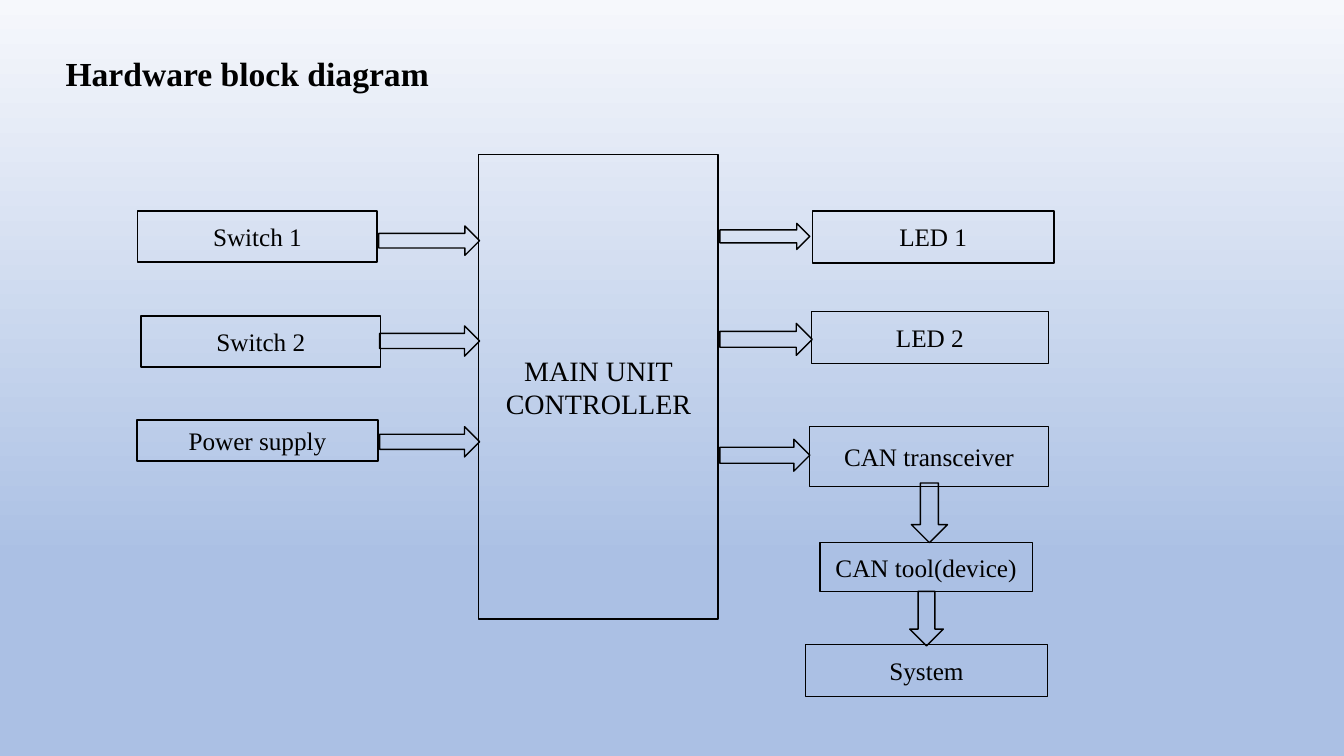
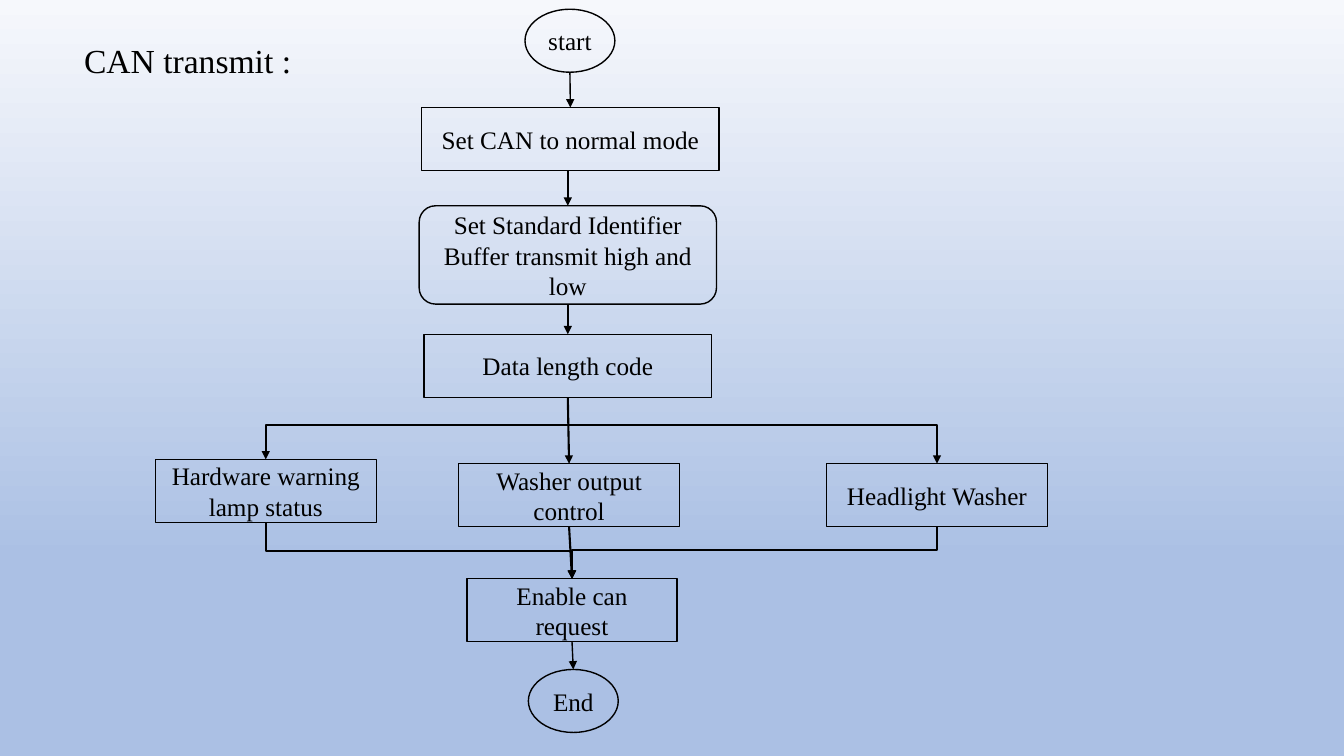
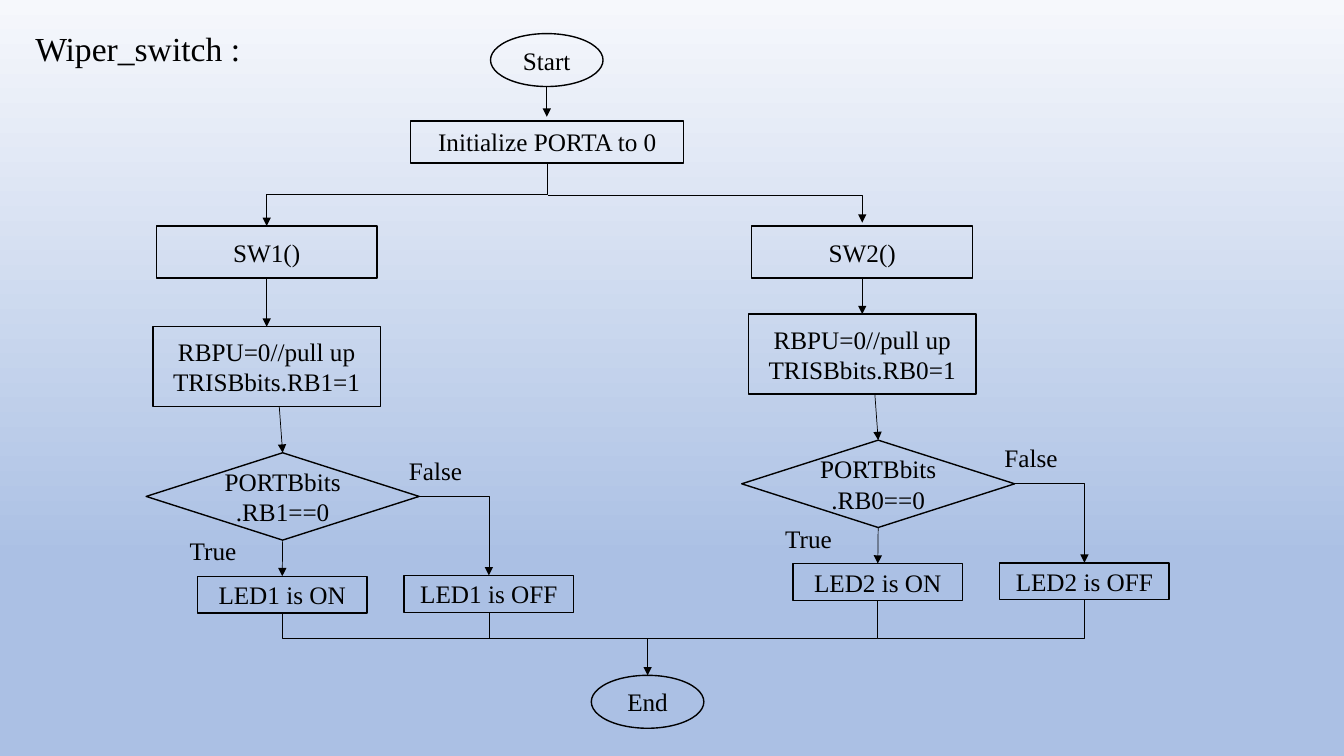
from lxml import etree
from pptx import Presentation
from pptx import util as u
from pptx.dml.color import RGBColor
from pptx.enum import shapes, text
from pptx.oxml.ns import qn

# Shared look; the slide is a grid of square cells
COLS, ROWS = 160, 90
CELL = u.Inches(1) / 12
FONT = "Times New Roman"
COLORS = {"ink": "000000", "sky": "F6F8FC", "blue": "ABC0E4"}
KIND = shapes.MSO_SHAPE
THIN, MEDIUM, THICK = 0.5, 1, 1.5


def color(name):
    return RGBColor.from_string(COLORS[name])


def cells(count):
    return u.Emu(round(count * CELL))


def point(col, row):
    return cells(col), cells(row)


# Anchor points on a shape
def top(shape, shift=0):
    return shape.left + shape.width // 2 + cells(shift), shape.top


def bottom(shape, shift=0):
    return shape.left + shape.width // 2 + cells(shift), shape.top + shape.height


def right(shape):
    return shape.left + shape.width, shape.top + shape.height // 2


# Text
def write(frame, words, size, bold=False, align=text.PP_ALIGN.CENTER):
    frame.word_wrap = True
    for index, line in enumerate(words.split("\n")):
        paragraph = frame.add_paragraph() if index else frame.paragraphs[0]
        paragraph.alignment = align
        run = paragraph.add_run()
        run.text = line
        run.font.name = FONT
        run.font.size = u.Pt(size)
        run.font.bold = bold
        run.font.color.rgb = color("ink")


def add_label(slide, words, *place):
    label = slide.shapes.add_textbox(*map(cells, place))
    write(label.text_frame, words, 18, align=text.PP_ALIGN.LEFT)


def add_titled_slide(deck, words, place, bold=False):
    slide = deck.slides.add_slide(deck.slide_layouts.get_by_name("Title Only"))
    title = slide.shapes.title
    title.left, title.top, title.width, title.height = map(cells, place)
    frame = title.text_frame
    frame.vertical_anchor = text.MSO_ANCHOR.MIDDLE
    frame.auto_size = text.MSO_AUTO_SIZE.NONE
    write(frame, words, 24, bold, text.PP_ALIGN.LEFT)
    frame.paragraphs[0].line_spacing = 0.9
    return slide


# Outlined blocks
def add_block(slide, words, *place, kind=KIND.RECTANGLE, size=18):
    block = slide.shapes.add_shape(kind, *map(cells, place))
    block.shadow.inherit = False
    block.fill.background()
    block.line.color.rgb = color("ink")
    block.line.width = u.Pt(MEDIUM)
    if words:
        block.text_frame.vertical_anchor = text.MSO_ANCHOR.MIDDLE
        write(block.text_frame, words, size)
    return block


# Connectors
def add_line(slide, start, end, width=MEDIUM, arrow=True,
             kind=shapes.MSO_CONNECTOR.STRAIGHT):
    line = slide.shapes.add_connector(kind, *start, *end)
    line.line.color.rgb = color("ink")
    line.line.width = u.Pt(width)
    properties = line.element.spPr
    if arrow:
        etree.SubElement(properties.find(qn("a:ln")), qn("a:tailEnd"), type="triangle")
    etree.SubElement(properties, qn("a:effectLst"))
    return line


def add_corner(slide, start, end, width, arrow=True):
    """One bend: across, then up or down."""
    corner = add_line(slide, start, end, width, arrow, shapes.MSO_CONNECTOR.ELBOW)
    corner.element.spPr.find(qn("a:prstGeom")).set("prst", "bentConnector2")


def add_step(slide, start, end, width, turn=0.5):
    """Two bends: down, across and down; a quarter turn of the usual elbow."""
    (x1, y1), (x2, y2) = start, end
    mid_x, mid_y = (x1 + x2) // 2, (y1 + y2) // 2
    half_x, half_y = (x2 - x1) // 2, (y2 - y1) // 2
    step = add_line(slide, (mid_x - half_y, mid_y + half_x),
                    (mid_x + half_y, mid_y - half_x), width,
                    kind=shapes.MSO_CONNECTOR.ELBOW)
    properties = step.element.spPr
    properties.find(qn("a:xfrm")).set("rot", str(90 * 60000))
    geometry = properties.find(qn("a:prstGeom"))
    guides = geometry.find(qn("a:avLst"))
    if guides is None:
        guides = etree.SubElement(geometry, qn("a:avLst"))
    etree.SubElement(guides, qn("a:gd"), name="adj1",
                     fmla=f"val {round(turn * 100000)}")


def add_hardware(deck):
    slide = add_titled_slide(deck, "Hardware block diagram", (6.6, 4.3, 50.6, 9.4), True)
    add_block(slide, "MAIN UNIT\nCONTROLLER", 57, 18.4, 28.5, 55.3, size=20)
    for part, *place in (
        ("Switch 1", 16.4, 25.1, 28.5, 6.1),
        ("Switch 2", 16.8, 37.6, 28.5, 6.1),
        ("Power supply", 16.3, 50, 28.7, 4.9),
        ("LED 1", 96.7, 25.1, 28.8, 6.2),
        ("LED 2", 96.6, 37.1, 28.2, 6.2),
        ("CAN transceiver", 96.4, 50.8, 28.4, 7.1),
        ("CAN tool(device)", 97.6, 64.6, 25.3, 5.8),
        ("System", 95.9, 76.7, 28.8, 6.2),
    ):
        add_block(slide, part, *place)
    # Signals into and out of the controller
    for signal in (
        (45.1, 26.9, 12, 3.5), (45.2, 38.8, 11.9, 3.6), (45.2, 50.8, 11.9, 3.6),
        (85.7, 26.6, 10.7, 3.1), (85.7, 38.5, 11, 3.8), (85.7, 52.3, 10.7, 3.8),
    ):
        add_block(slide, "", *signal, kind=KIND.RIGHT_ARROW)
    for bus in ((108.5, 57.5, 4.3, 7.1), (108.3, 70.4, 4, 6.5)):
        add_block(slide, "", *bus, kind=KIND.DOWN_ARROW)


def add_transmit(deck):
    slide = add_titled_slide(deck, "CAN transmit :", (8.8, 3.1, 34.2, 8.6))
    tall = 7.5
    start = add_block(slide, "start", 62.5, 1.1, 10.7, tall, kind=KIND.OVAL)
    mode = add_block(slide, "Set CAN to normal mode", 50.2, 12.8, 35.4, tall)
    identifier = add_block(slide, "Set Standard Identifier Buffer transmit high and low",
                           49.9, 24.5, 35.4, 11.7, kind=KIND.ROUNDED_RECTANGLE)
    length = add_block(slide, "Data length code", 50.5, 39.8, 34.2, tall)
    lamp = add_block(slide, "Hardware warning lamp status", 18.5, 54.7, 26.3, tall)
    washer = add_block(slide, "Washer output control", 54.6, 55.2, 26.3, tall)
    headlight = add_block(slide, "Headlight Washer", 98.4, 55.2, 26.3, tall)
    request = add_block(slide, "Enable can request", 55.6, 68.9, 25, tall)
    end = add_block(slide, "End", 62.9, 79.7, 10.7, tall, kind=KIND.OVAL)
    # Main flow
    for above, below, width, shift in (
        (start, mode, MEDIUM, 0), (mode, identifier, MEDIUM, -0.3),
        (identifier, length, MEDIUM, 0), (length, washer, THICK, 0),
        (washer, request, THICK, 0), (request, end, MEDIUM, 0),
    ):
        add_line(slide, bottom(above, shift), top(below), width)
    # Side branches
    add_corner(slide, point(71.6, 50.6), top(lamp), THICK)
    add_corner(slide, point(68.8, 50.6), top(headlight), THICK)
    add_step(slide, bottom(headlight), top(request), THICK, 0.45)
    add_step(slide, bottom(lamp), top(request), THICK)


def add_switch(slide, led, pin, x, lift):
    """One switch column; everything under its first block moves up by lift."""
    switch = add_block(slide, f"SW{led}()", x + 0.4, 26.9, 26.3, 6.2)
    setup = add_block(slide, f"RBPU=0//pull up\nTRISBbits.{pin}=1",
                      x, 38.9 - lift, 27.1, 9.5)
    check = add_block(slide, f"PORTBbits.{pin}==0", x - 0.8, 53.9 - lift, 32.5, 10.4,
                      kind=KIND.DIAMOND)
    lit = add_block(slide, f"LED{led} is ON", x + 5.3, 68.6 - lift, 20.2, 4.4)
    dark = add_block(slide, f"LED{led} is OFF", x + 29.9, 68.5 - lift, 20.2, 4.4)
    add_label(slide, "True", x + 3.2, 63.2 - lift, 9.2, 4.8)
    add_label(slide, "False", x + 29.3, 53.6 - lift, 10.1, 4.8)
    add_line(slide, bottom(switch), top(setup), THIN)
    add_line(slide, bottom(setup, 1.5), top(check), THIN)
    add_line(slide, bottom(check), top(lit), THIN)
    add_corner(slide, right(check), top(dark), THIN)
    return switch, lit, dark


def add_wiper(deck):
    slide = add_titled_slide(deck, "Wiper_switch :", (3, 1.9, 30.8, 8.3))
    start = add_block(slide, "Start", 58.4, 4, 13.4, 6.3, kind=KIND.OVAL)
    port = add_block(slide, "Initialize PORTA to 0", 48.9, 14.4, 32.5, 5)
    end = add_block(slide, "End", 70.4, 80.4, 13.4, 6.3, kind=KIND.OVAL)
    first, lit1, dark1 = add_switch(slide, 1, "RB1", 18.2, 0)
    second, lit2, dark2 = add_switch(slide, 2, "RB0", 89.1, 1.5)
    # Split into the two switches
    add_line(slide, bottom(start), point(65.1, 13.9), THIN)
    add_step(slide, bottom(port), top(first), THIN)
    add_corner(slide, point(65.3, 23.2), (top(second)[0], cells(26.5)), THIN)
    # Gather all four outcomes on one rail
    rail = cells(76)
    joint1, joint2 = (bottom(dark1)[0], rail), (bottom(lit2)[0], rail)
    add_line(slide, bottom(dark1), joint1, THIN, arrow=False)
    add_corner(slide, joint1, bottom(lit1), THIN, arrow=False)
    add_corner(slide, joint1, bottom(lit2), THIN, arrow=False)
    add_corner(slide, joint2, bottom(dark2), THIN, arrow=False)
    add_line(slide, (top(end)[0], rail), top(end), THIN)


def main():
    deck = Presentation()
    deck.slide_width, deck.slide_height = point(COLS, ROWS)
    # Background fades down from light to blue
    fade = deck.slide_master.background.fill
    fade.gradient()
    fade.gradient_angle = 270
    for stop, name, share in zip(fade.gradient_stops, ("sky", "blue"), (0, 0.74)):
        stop.color.rgb = color(name)
        stop.position = share
    add_hardware(deck)
    add_transmit(deck)
    add_wiper(deck)
    deck.save("out.pptx")


main()
